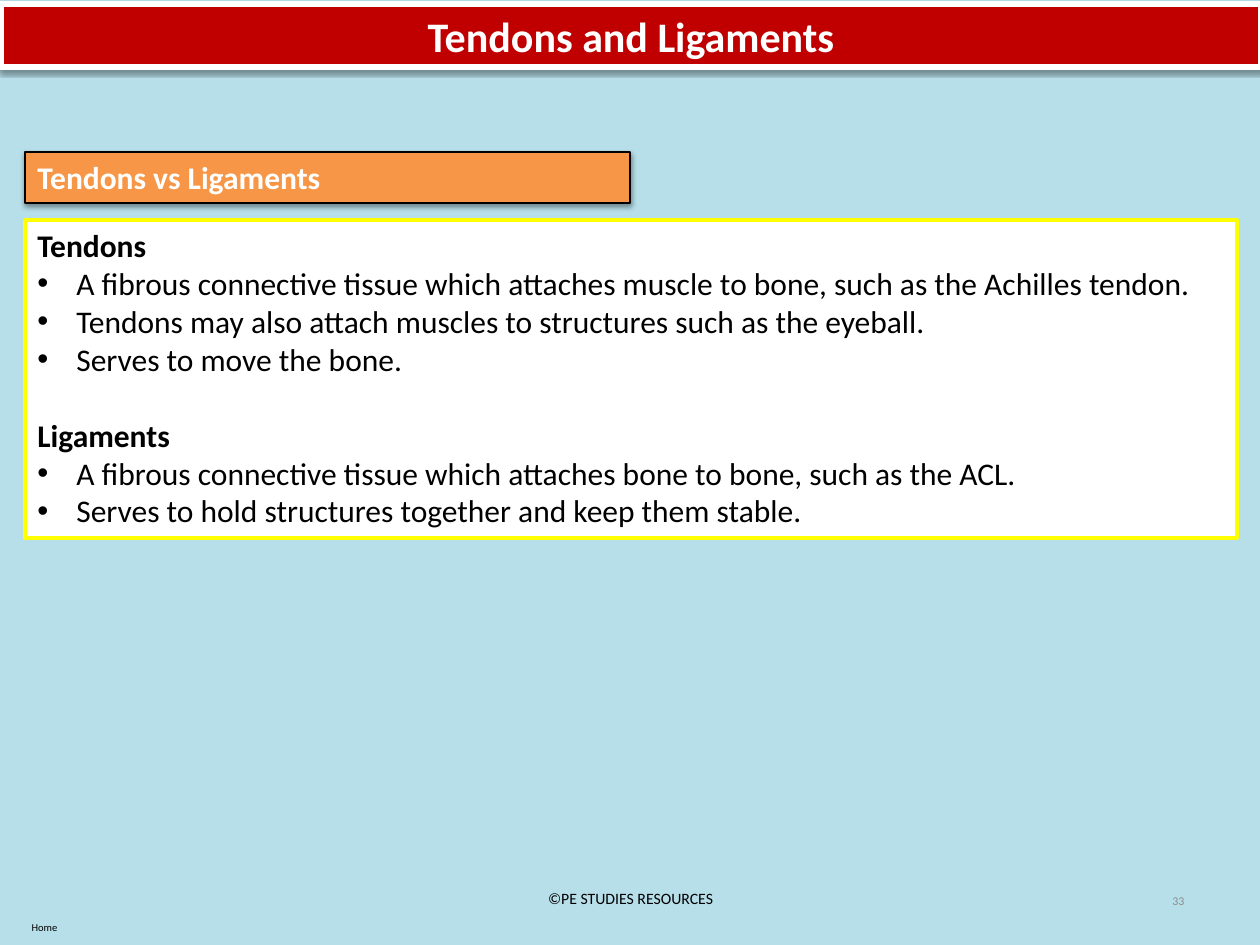
import pptx
import pptx.dml.color
import pptx.enum.shapes
import pptx.enum.text
import pptx.oxml
import pptx.oxml.ns
import pptx.util
from dataclasses import dataclass

TITLE = "Tendons and Ligaments"
HEADING = "Tendons vs Ligaments"
SECTIONS = [
    ("Tendons", [
        "A fibrous connective tissue which attaches muscle to bone, such as the Achilles tendon.",
        "Tendons may also attach muscles to structures such as the eyeball.",
        "Serves to move the bone.",
    ]),
    ("Ligaments", [
        "A fibrous connective tissue which attaches bone to bone, such as the ACL.",
        "Serves to hold structures together and keep them stable.",
    ]),
]
FOOTERS = [
    ("33", (903, 876, 294, 50), dict(size=6.8, color="8C8C8C", align="RIGHT"), "MIDDLE"),
    ("Home", (1, 915, 87, 25), dict(size=6, align="CENTER"), "TOP"),
    ("©PE STUDIES RESOURCES", (431, 873, 399, 50), dict(size=9, align="CENTER"), "MIDDLE"),
]
TITLE_BOX = (1, 4, 1260, 63)
HEADING_BOX = (25, 152, 605, 51)
BODY_BOX = (25, 220, 1212, 318)
INDENT = 39


@dataclass(frozen=True)
class Theme:
    font: str = "Calibri"
    background: str = "B7DFEA"
    banner: str = "C00000"
    heading: str = "F79646"
    frame: str = "FFFF00"
    white: str = "FFFFFF"
    black: str = "000000"
    title_size: int = 24
    body_size: int = 18
    section_gap: int = 22


THEME = Theme()


def px(value):
    return pptx.util.Emu(round(value * 914400 / 126))


def rgb(value):
    return pptx.dml.color.RGBColor.from_string(value)


def place(shape, box):
    shape.left, shape.top, shape.width, shape.height = map(px, box)


def write(para, text, size=THEME.body_size, color=THEME.black, bold=False,
          align="LEFT", bullet=False, before=0):
    para.alignment = getattr(pptx.enum.text.PP_ALIGN, align)
    para.space_before = pptx.util.Pt(before)
    if bullet:
        props = para._p.get_or_add_pPr()
        props.set("marL", str(px(INDENT)))
        props.set("indent", str(-px(INDENT)))
        for tag, name, value in [("buFont", "typeface", "Arial"), ("buChar", "char", "•")]:
            mark = pptx.oxml.parse_xml(f'<a:{tag} {pptx.oxml.ns.nsdecls("a")} {name}="{value}"/>')
            props.append(mark)
    span = para.add_run()
    span.text = text
    span.font.name = THEME.font
    span.font.size = pptx.util.Pt(size)
    span.font.bold = bold
    span.font.color.rgb = rgb(color)


def prepare(shape, anchor="TOP"):
    frame = shape.text_frame
    frame.word_wrap = True
    frame.auto_size = pptx.enum.text.MSO_AUTO_SIZE.NONE
    frame.vertical_anchor = getattr(pptx.enum.text.MSO_ANCHOR, anchor)
    return frame


def paint(shape, fill, line, width):
    shape.fill.solid()
    shape.fill.fore_color.rgb = rgb(fill)
    shape.line.color.rgb = rgb(line)
    shape.line.width = pptx.util.Pt(width)


def add_shadow(shape):
    shape._element.spPr.append(pptx.oxml.parse_xml(
        f'<a:effectLst {pptx.oxml.ns.nsdecls("a")}>'
        f'<a:outerShdw blurRad="{pptx.util.Pt(3.1)}" dist="{pptx.util.Pt(1.6)}" '
        f'dir="5400000" rotWithShape="0"><a:srgbClr val="{THEME.black}">'
        '<a:alpha val="38000"/></a:srgbClr></a:outerShdw></a:effectLst>'))


def add_panel(page, box, fill, line, width):
    panel = page.shapes.add_shape(pptx.enum.shapes.MSO_SHAPE.RECTANGLE, *map(px, box))
    paint(panel, fill, line, width)
    return panel


def main():
    deck = pptx.Presentation()
    deck.slide_width, deck.slide_height = px(1260), px(945)
    page = deck.slides.add_slide(deck.slide_layouts[5])
    page.background.fill.solid()
    page.background.fill.fore_color.rgb = rgb(THEME.background)

    title = page.shapes.title
    place(title, TITLE_BOX)
    paint(title, THEME.banner, THEME.white, 3)
    add_shadow(title)
    write(prepare(title).paragraphs[0], TITLE, size=THEME.title_size,
          color=THEME.white, bold=True, align="CENTER")

    heading = add_panel(page, HEADING_BOX, THEME.heading, THEME.black, 1)
    add_shadow(heading)
    write(prepare(heading).paragraphs[0], HEADING, color=THEME.white, bold=True)

    body = add_panel(page, BODY_BOX, THEME.white, THEME.frame, 2)
    body.shadow.inherit = False
    frame = prepare(body)
    for index, (name, points) in enumerate(SECTIONS):
        para = frame.add_paragraph() if index else frame.paragraphs[0]
        write(para, name, bold=True, before=THEME.section_gap if index else 0)
        for point in points:
            write(frame.add_paragraph(), point, bullet=True)

    for text, box, style, anchor in FOOTERS:
        footer = page.shapes.add_textbox(*map(px, box))
        write(prepare(footer, anchor).paragraphs[0], text, **style)

    deck.save("out.pptx")


if __name__ == "__main__":
    main()
